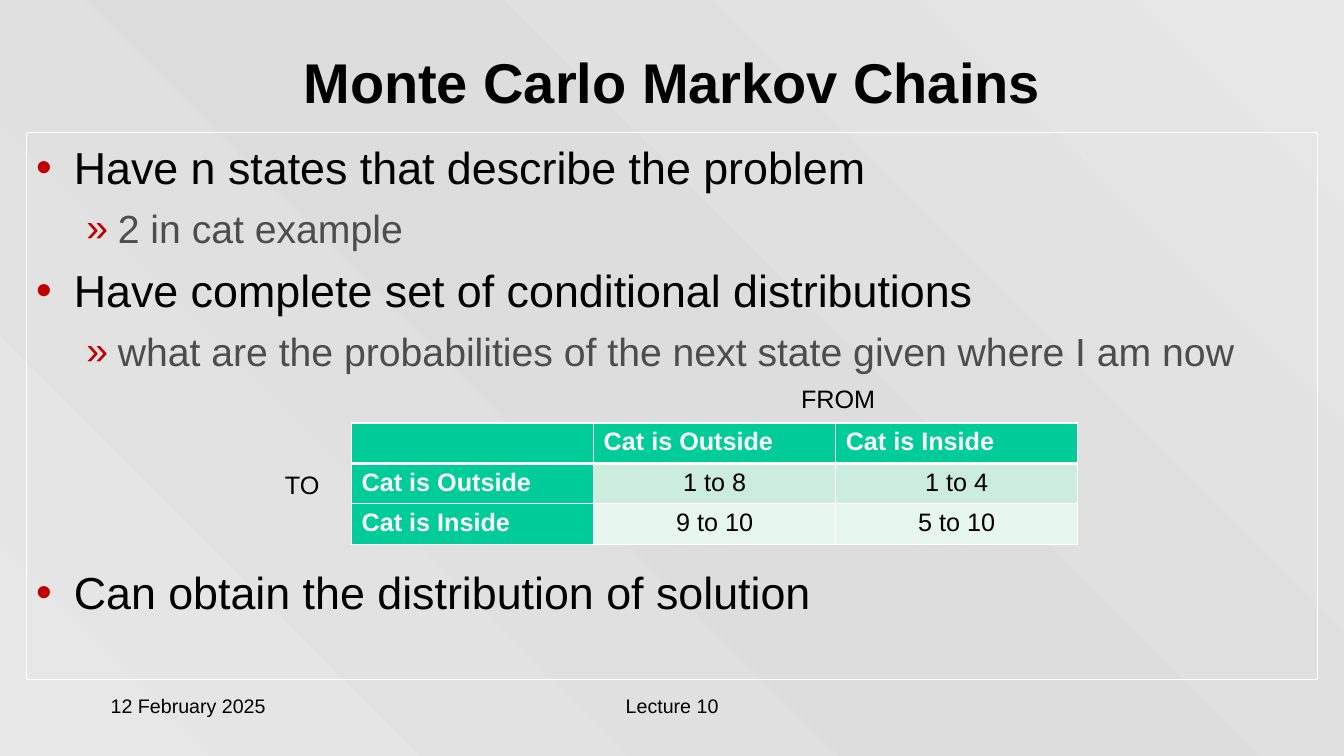
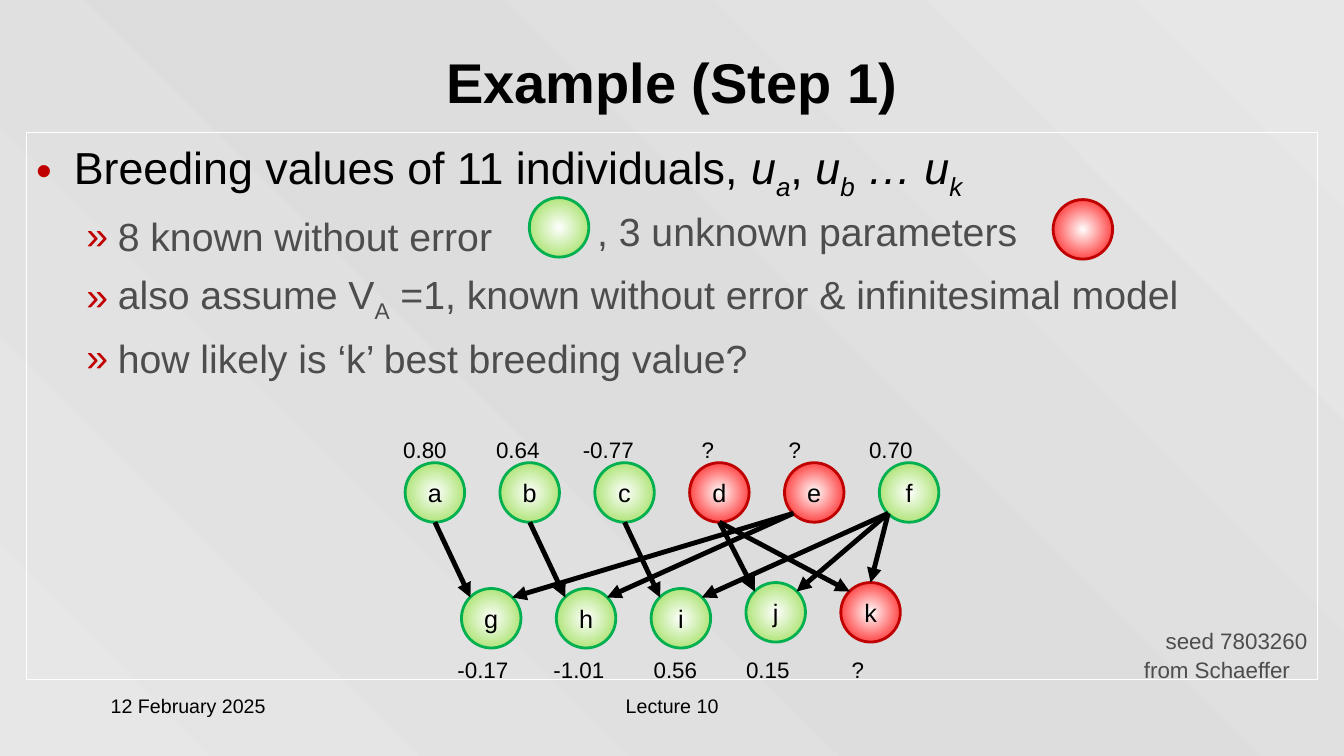
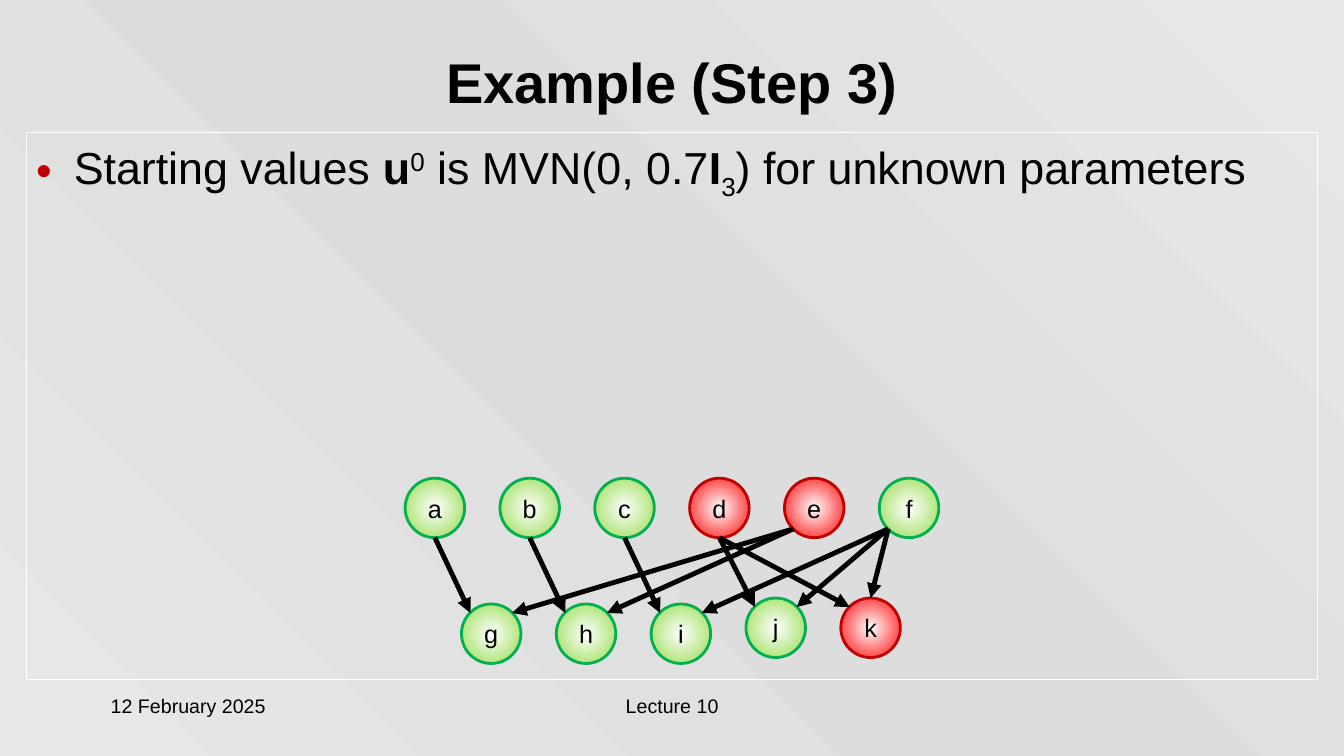
"""Builds three lecture slides on Markov chains and a breeding value example."""
from copy import deepcopy

from pptx import Presentation
from pptx.dml.color import RGBColor
from pptx.enum.shapes import MSO_CONNECTOR as CONNECTOR, MSO_SHAPE as SHAPE
from pptx.enum.text import MSO_ANCHOR as ANCHOR, PP_ALIGN as ALIGN
from pptx.oxml import parse_xml
from pptx.oxml.ns import nsdecls, qn
from pptx.util import Cm, Pt

BLACK = RGBColor(0x00, 0x00, 0x00)
WHITE = RGBColor(0xFF, 0xFF, 0xFF)
GREY = RGBColor(0x4D, 0x4D, 0x4D)
RED = RGBColor(0xFF, 0x00, 0x00)
DARK_RED = RGBColor(0xC0, 0x00, 0x00)
LIME = RGBColor(0x92, 0xDA, 0x46)
GREEN = RGBColor(0x00, 0xB0, 0x50)
TEAL = RGBColor(0x00, 0xCC, 0x99)
PALE_TEAL = RGBColor(0xCC, 0xEC, 0xDE)
PALEST_TEAL = RGBColor(0xE7, 0xF6, 0xEF)
BACKGROUND_EDGE = RGBColor(0xE7, 0xE7, 0xE7)
BACKGROUND_MIDDLE = RGBColor(0xDD, 0xDD, 0xDD)
FONT = "Arial"
DISC = 1.5
BULLETS = [("•", 0.95, -0.95, 32, BLACK), ("»", 2.06, -0.79, 28, GREY)]
BASELINES = {"_": "-25000", "^": "30000"}


def write_text(frame, text, size=18, color=BLACK, bold=False, align=ALIGN.LEFT, level=None, before=0):
    """Write a paragraph from a string or from (text, style) runs; style letters are b, i, _ and ^."""
    paragraph = frame.paragraphs[0]
    if paragraph.runs:
        paragraph = frame.add_paragraph()
    paragraph.alignment = align
    if level is not None:
        mark, margin, indent, size, color = BULLETS[level]
        properties = paragraph._p.get_or_add_pPr()
        properties.set("marL", str(Cm(margin)))
        properties.set("indent", str(Cm(indent)))
        for xml in (f'<a:buClr {nsdecls("a")}><a:srgbClr val="{DARK_RED}"/></a:buClr>',
                    f'<a:buFont {nsdecls("a")} typeface="{FONT}"/>',
                    f'<a:buChar {nsdecls("a")} char="{mark}"/>'):
            properties.append(parse_xml(xml))
    paragraph.space_before = Pt(before)
    for words, style in [(text, "")] if isinstance(text, str) else text:
        run = paragraph.add_run()
        run.text = words
        run.font.name = FONT
        run.font.size = Pt(size)
        run.font.color.rgb = color
        run.font.bold = bold or "b" in style
        run.font.italic = "i" in style
        for letter in style:
            if letter in BASELINES:
                run._r.get_or_add_rPr().set("baseline", BASELINES[letter])


def add_disc(slide, left, top, known, letter=""):
    """Draw a green disc for a known value or a red one for an unknown value."""
    disc = slide.shapes.add_shape(SHAPE.OVAL, Cm(left), Cm(top), Cm(DISC), Cm(DISC))
    disc.shadow.inherit = False
    disc.fill.gradient()
    disc.fill.gradient_stops[0].color.rgb = WHITE
    disc.fill.gradient_stops[1].color.rgb = LIME if known else RED
    gradient = disc._element.spPr.find(qn("a:gradFill"))
    gradient.replace(gradient.find(qn("a:lin")), parse_xml(
        f'<a:path {nsdecls("a")} path="circle">'
        '<a:fillToRect l="50000" t="50000" r="50000" b="50000"/></a:path>'))
    disc.line.color.rgb = GREEN if known else DARK_RED
    disc.line.width = Pt(2)
    if letter:
        disc.text_frame.vertical_anchor = ANCHOR.MIDDLE
        write_text(disc.text_frame, letter, align=ALIGN.CENTER)


CONTENT = [
    ("Monte Carlo Markov Chains", [
        (0, "Have n states that describe the problem", 0),
        (1, "2 in cat example", 7.8),
        (0, "Have complete set of conditional distributions", 7.8),
        (1, "what are the probabilities of the next state given where I am now", 7.8),
        (0, "Can obtain the distribution of solution", 136),
    ]),
    ("Example (Step 1)", [
        (0, [("Breeding values of 11 individuals, ", ""), ("u", "i"), ("a", "i_"), (", ", ""),
             ("u", "i"), ("b", "i_"), (" … u", "i"), ("k", "i_")], 0),
        (1, "8 known without error", 7.8),
        (1, [("also assume V", ""), ("A", "_"),
             (" =1, known without error & infinitesimal model", "")], 7.8),
        (1, "how likely is ‘k’ best breeding value?", 7.8),
    ]),
    ("Example (Step 3)", [
        (0, [("Starting values ", ""), ("u", "b"), ("0", "^"), (" is MVN(0, 0.7", ""),
             ("I", "b"), ("3", "_"), (") for unknown parameters", "")], 0),
    ]),
]

presentation = Presentation()
presentation.slide_width = Cm(33.87)
presentation.slide_height = Cm(19.05)
slides = []
text_boxes = []

for title, bullets in CONTENT:
    slide = presentation.slides.add_slide(presentation.slide_layouts[6])
    slides.append(slide)
    fill = slide.background.fill
    fill.gradient()
    fill.gradient_angle = 45
    first_stop = fill.gradient_stops[0]._gs
    middle_stop = deepcopy(first_stop)
    middle_stop.set("pos", "50000")
    first_stop.addnext(middle_stop)
    for stop, color in zip(fill.gradient_stops, (BACKGROUND_EDGE, BACKGROUND_MIDDLE, BACKGROUND_EDGE)):
        stop.color.rgb = color

    body = slide.shapes.add_textbox(Cm(0.66), Cm(3.33), Cm(32.54), Cm(13.79))
    body.line.color.rgb = WHITE
    body.line.width = Pt(0.75)
    body.text_frame.word_wrap = True
    body.text_frame.margin_top = Cm(0.2)
    for level, text, before in bullets:
        write_text(body.text_frame, text, level=level, before=before)

    text_boxes += [
        (slide, title, 0.66, 0.76, 32.54, 2.57, dict(size=40, bold=True, align=ALIGN.CENTER)),
        (slide, "12 February 2025", 2.54, 17.35, 7.06, 0.88, dict(size=14)),
        (slide, "Lecture 10", 11.58, 17.35, 10.72, 0.88, dict(size=14, align=ALIGN.CENTER)),
    ]

chain_slide, step_1, step_3 = slides
text_boxes += [
    (chain_slide, "FROM", 19.94, 9.53, 4.6, 1.02, {}),
    (chain_slide, "TO", 6.93, 11.71, 1.93, 1.02, {}),
    (step_1, ", 3 unknown parameters", 14.8, 5.13, 11.74, 1.4, dict(size=28, color=GREY)),
]
VALUES = [
    (11.34, BLACK, [("0.80", 10.71), ("0.64", 13.05), ("-0.77", 15.33),
                    ("?", 17.84), ("?", 20.03), ("0.70", 22.45)]),
    (16.88, BLACK, [("-0.17", 12.17), ("-1.01", 14.59), ("0.56", 17.02),
                    ("0.15", 19.35), ("?", 21.62)]),
    (16.13, GREY, [("seed 7803260", 31.16)]),
    (16.88, GREY, [("from Schaeffer", 30.67)]),
]
for middle, color, values in VALUES:
    for text, center in values:
        width = 2 if color == BLACK else 4.4
        text_boxes.append((step_1, text, center - width / 2, middle - 0.4, width, 0.8,
                           dict(size=16, color=color, align=ALIGN.CENTER)))

for slide, text, left, top, width, height, style in text_boxes:
    frame = slide.shapes.add_textbox(Cm(left), Cm(top), Cm(width), Cm(height)).text_frame
    frame.word_wrap = True
    frame.vertical_anchor = ANCHOR.MIDDLE
    write_text(frame, text, **style)

ODDS = [
    ["", "Cat is Outside", "Cat is Inside"],
    ["Cat is Outside", "1 to 8", "1 to 4"],
    ["Cat is Inside", "9 to 10", "5 to 10"],
]
ROW_FILLS = [TEAL, PALE_TEAL, PALEST_TEAL]
table = chain_slide.shapes.add_table(3, 3, Cm(8.86), Cm(10.66), Cm(18.3), Cm(2.91)).table
table.horz_banding = False
for row_index, row in enumerate(ODDS):
    table.rows[row_index].height = Cm(0.97)
    for column_index, text in enumerate(row):
        table.columns[column_index].width = Cm(6.1)
        cell = table.cell(row_index, column_index)
        heading = row_index == 0 or column_index == 0
        for side in "LRTB":
            thick = (row_index, side) in ((0, "B"), (1, "T"))
            cell._tc.get_or_add_tcPr().append(parse_xml(
                f'<a:ln{side} {nsdecls("a")} w="{Pt(3 if thick else 1)}"><a:solidFill>'
                f'<a:srgbClr val="{WHITE}"/></a:solidFill></a:ln{side}>'))
        cell.fill.solid()
        cell.fill.fore_color.rgb = TEAL if heading else ROW_FILLS[row_index]
        if text:
            write_text(cell.text_frame, text, bold=heading, color=WHITE if heading else BLACK,
                       align=ALIGN.LEFT if heading else ALIGN.CENTER)

add_disc(step_1, 13.34, 4.98, True)
add_disc(step_1, 26.54, 5.03, False)

PITCH = 2.39
UNKNOWN = "dek"
NEAR, FAR = 0.15 * DISC, 0.85 * DISC
BOTTOM, LOWER_LEFT = (DISC / 2, DISC), (NEAR, FAR)
TOP, UPPER_LEFT, UPPER_RIGHT = (DISC / 2, 0), (NEAR, NEAR), (FAR, NEAR)
ARROWS = [
    ("f", LOWER_LEFT, "i", UPPER_RIGHT), ("f", LOWER_LEFT, "j", UPPER_RIGHT),
    ("f", LOWER_LEFT, "k", TOP), ("e", LOWER_LEFT, "g", UPPER_RIGHT),
    ("a", BOTTOM, "g", UPPER_LEFT), ("e", LOWER_LEFT, "h", UPPER_RIGHT),
    ("b", BOTTOM, "h", UPPER_LEFT), ("c", BOTTOM, "i", UPPER_LEFT),
    ("d", BOTTOM, "j", UPPER_LEFT), ("d", BOTTOM, "k", UPPER_LEFT),
]
for slide, parents_top in ((step_1, 11.66), (step_3, 12.05)):
    places = {letter: (10.21 + PITCH * index, parents_top) for index, letter in enumerate("abcdef")}
    for index, letter in enumerate("ghijk"):
        places[letter] = (11.63 + PITCH * index, parents_top + (3.02 if letter in "jk" else 3.17))
    for letter, (left, top) in places.items():
        add_disc(slide, left, top, letter not in UNKNOWN, letter)
    for parent, start, child, end in ARROWS:
        begin_x, begin_y = (Cm(place + offset) for place, offset in zip(places[parent], start))
        end_x, end_y = (Cm(place + offset) for place, offset in zip(places[child], end))
        arrow = slide.shapes.add_connector(CONNECTOR.STRAIGHT, begin_x, begin_y, end_x, end_y)
        arrow.line.color.rgb = BLACK
        arrow.line.width = Pt(3.5)
        arrow.line._get_or_add_ln().append(parse_xml(f'<a:tailEnd {nsdecls("a")} type="triangle"/>'))
        arrow._element.spPr.append(parse_xml(f'<a:effectLst {nsdecls("a")}/>'))

presentation.save("out.pptx")
